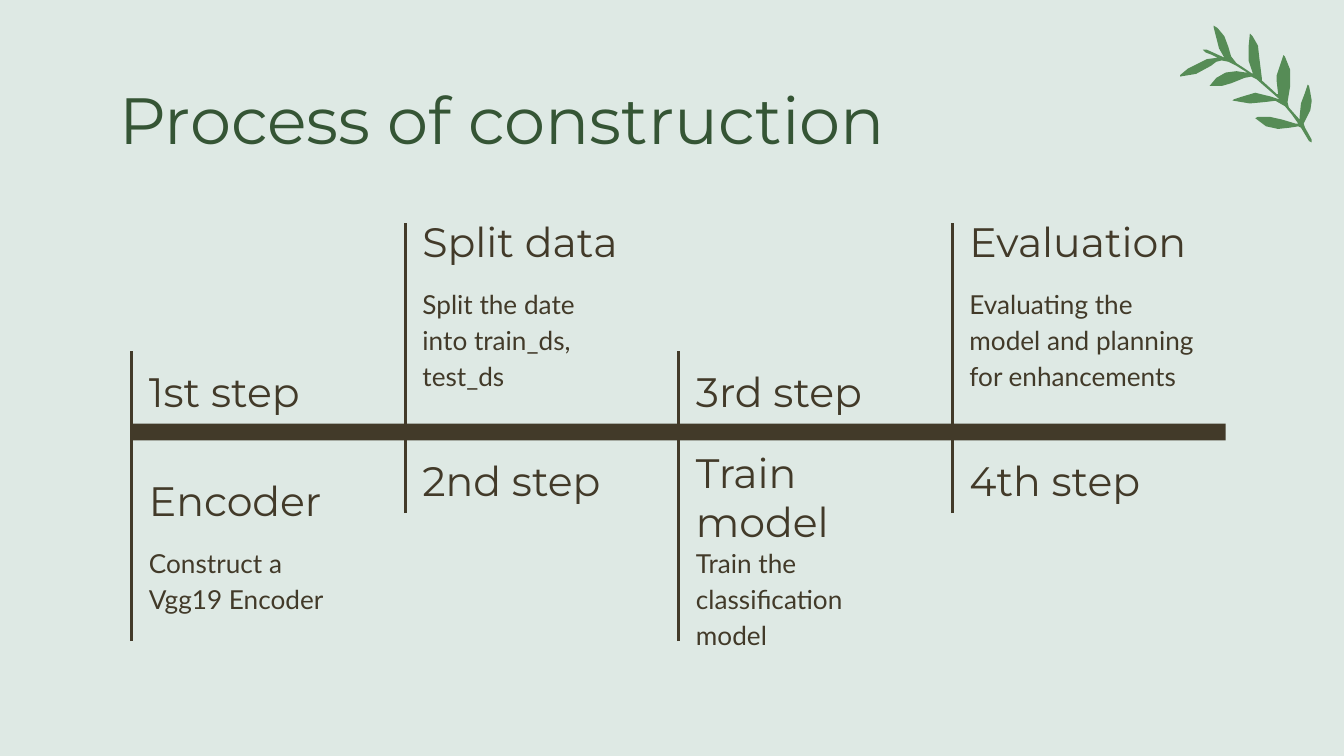
from dataclasses import dataclass

from lxml.etree import SubElement
from pptx import Presentation
from pptx.dml.color import RGBColor
from pptx.enum.shapes import MSO_CONNECTOR, MSO_SHAPE
from pptx.enum.text import MSO_ANCHOR
from pptx.oxml.ns import qn
from pptx.util import Inches, Pt

COLORS = {
    "background": "DEE9E4",
    "title": "355535",
    "ink": "423A29",
    "leaf": "568C56",
}
CELL = Inches(0.1)  # the slide is a grid of 100 columns

# Outline of the branch, in hundredths of its box's width
BRANCH = [
    (0, 37), (6, 32), (20, 25), (28, 24), (24, 22), (19, 20), (17, 18), (20, 18),
    (31, 23), (33, 24), (29, 17), (25, 1), (25, 0), (28, 2), (33, 8), (36, 16),
    (38, 23), (42, 28), (54, 36), (54, 35), (51, 26), (51, 16), (52, 6), (54, 8),
    (58, 15), (59, 24), (61, 40), (61, 41), (72, 51), (73, 51), (72, 42), (72, 37),
    (77, 22), (78, 23), (82, 33), (82, 45), (80, 57), (81, 61), (89, 70), (89, 68),
    (90, 58), (93, 50), (95, 44), (96, 45), (97, 50), (98, 56), (97, 63), (92, 73),
    (93, 76), (98, 85), (98, 87), (96, 86), (90, 76), (88, 75), (82, 76), (73, 77),
    (64, 75), (56, 69), (58, 68), (67, 68), (76, 70), (86, 73), (88, 73), (83, 66),
    (78, 60), (71, 56), (63, 57), (52, 58), (40, 56), (39, 56), (40, 55), (46, 53),
    (56, 50), (68, 53), (74, 55), (73, 54), (57, 40), (53, 38), (48, 39), (38, 43),
    (31, 45), (24, 45), (22, 45), (27, 39), (34, 35), (42, 34), (49, 35), (50, 35),
    (42, 30), (36, 27), (31, 26), (27, 27), (23, 30), (12, 36), (0, 38),
]


@dataclass
class Step:
    label: str
    heading: str
    body: str
    heading_width: float
    body_width: float
    spacing: float = 1.15


STEPS = [
    Step("1st step", "Encoder", "Construct a Vgg19 Encoder", 15.9, 15.9),
    Step("2nd step", "Split data", "Split the date into train_ds, test_ds", 18.2, 15.9),
    Step("3rd step", "Train model", "Train the classification model", 15.9, 15.9, 1.0),
    Step("4th step", "Evaluation",
         "Evaluating the model and planning for enhancements", 20.9, 19.4),
]


def grid(*cells):
    return [round(cell * CELL) for cell in cells]


def color(name):
    return RGBColor.from_string(COLORS[name])


def paint(shape, name):
    shape.shadow.inherit = False
    shape.fill.solid()
    shape.fill.fore_color.rgb = color(name)
    shape.line.fill.background()


def add_text(slide, box, text, size, font="Montserrat", ink="ink",
             anchor=MSO_ANCHOR.MIDDLE, spacing=1.15):
    frame = slide.shapes.add_textbox(*grid(*box)).text_frame
    frame.word_wrap = True
    frame.vertical_anchor = anchor
    frame.margin_left = frame.margin_right = CELL
    frame.margin_top = frame.margin_bottom = CELL
    paragraph = frame.paragraphs[0]
    paragraph.line_spacing = spacing
    run = paragraph.add_run()
    run.text = text
    run.font.name = font
    run.font.size = Pt(size)
    run.font.color.rgb = color(ink)


def add_stem(slide, x, top, bottom):
    stem = slide.shapes.add_connector(MSO_CONNECTOR.STRAIGHT, *grid(x, bottom, x, top))
    stem.line.color.rgb = color("ink")
    stem.line.width = Pt(1.5)
    SubElement(stem._element.spPr, qn("a:effectLst"))


def add_branch(slide, box):
    left, top, width, _ = grid(*box)
    builder = slide.shapes.build_freeform(*BRANCH[0], scale=width / 98)
    builder.add_line_segments(BRANCH[1:], close=True)
    paint(builder.convert_to_shape(left, top), "leaf")


def add_step(slide, box, step, details_above):
    left, top, width, height = box
    bar_height, label_height, heading_height = 1.25, 5.4, 4.9
    middle = top + height / 2
    bar_top = middle - bar_height / 2
    bar_bottom = middle + bar_height / 2

    # Length of the axis
    bar = slide.shapes.add_shape(MSO_SHAPE.RECTANGLE,
                                 *grid(left, bar_top, width, bar_height))
    paint(bar, "ink")

    # Stem, long on the side of the details
    if details_above:
        label_top, heading_top = bar_bottom, top - 1.4
        add_stem(slide, left, top, bar_bottom + label_height)
    else:
        label_top, heading_top = bar_top - label_height, bar_bottom + 1.7
        add_stem(slide, left, bar_top - label_height, top + height)

    # Label, heading and description
    text_left = left + 0.3
    add_text(slide, (text_left, label_top, 18.2, label_height), step.label, 22)
    add_text(slide, (text_left, heading_top, step.heading_width, heading_height),
             step.heading, 22, spacing=step.spacing)
    add_text(slide, (text_left, heading_top + heading_height, step.body_width, 9.1),
             step.body, 14, font="Lato", anchor=MSO_ANCHOR.TOP)


def add_timeline(slide, box):
    left, top, width, height = box
    column = width / len(STEPS)
    for index, step in enumerate(STEPS):
        add_step(slide, (left + index * column, top, column, height), step,
                 details_above=index % 2 == 1)


def main():
    presentation = Presentation()
    presentation.slide_width, presentation.slide_height = grid(100, 56.25)
    slide = presentation.slides.add_slide(presentation.slide_layouts[6])
    slide.background.fill.solid()
    slide.background.fill.fore_color.rgb = color("background")

    add_branch(slide, (87.8, 1.9, 9.8, 8.7))
    add_text(slide, (7.9, 4.9, 84.3, 6.3), "Process of construction", 35,
             ink="title", anchor=MSO_ANCHOR.TOP, spacing=1.0)
    add_timeline(slide, (9.8, 16.6, 81.4, 31.1))
    presentation.save("out.pptx")


if __name__ == "__main__":
    main()
